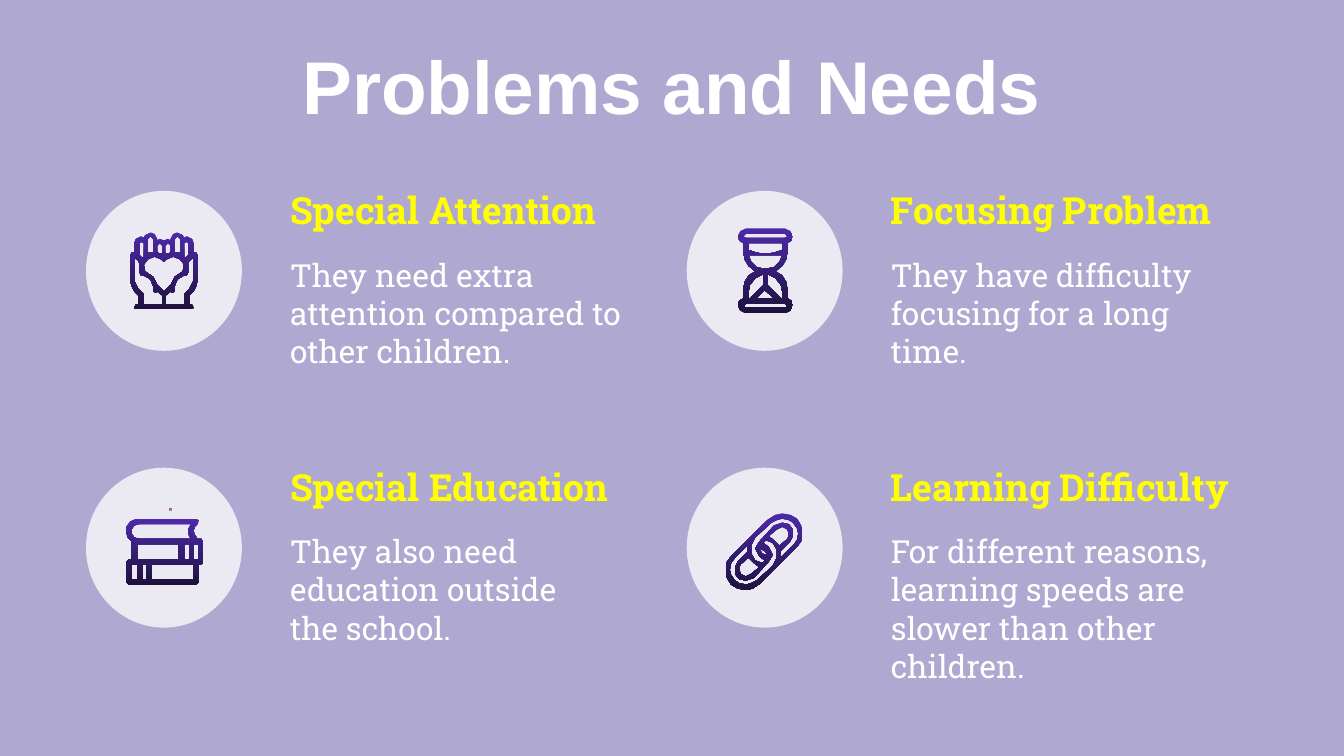
from lxml import etree
from pptx import Presentation
from pptx.dml.color import RGBColor
from pptx.enum.shapes import MSO_SHAPE
from pptx.enum.text import MSO_ANCHOR, PP_ALIGN
from pptx.oxml.ns import qn
from pptx.util import Inches, Pt

OVAL = MSO_SHAPE.OVAL
TOP, BOTTOM = MSO_ANCHOR.TOP, MSO_ANCHOR.BOTTOM
LEFT, CENTER = PP_ALIGN.LEFT, PP_ALIGN.CENTER

COLORS = {
    "back": "AFA8D0",
    "white": "FFFFFF",
    "head": "FFFF00",
    "light": "4E29AA",
    "dark": "1E123D",
    "dot_top": "645CA7",
    "dot_end": "D77EAD",
}
SERIF = "Roboto Slab"

# Left edge, top edge, heading, body, body width
TOPICS = [
    (0.64, 1.42, "Special Attention",
     "They need extra attention compared to other children.", 2.78),
    (5.11, 1.42, "Focusing Problem",
     "They have difficulty focusing for a long time.", 2.46),
    (0.64, 3.48, "Special Education",
     "They also need education outside the school.", 2.46),
    (5.11, 3.48, "Learning Difficulty",
     "For different reasons, learning speeds are slower than other children.", 3.1),
]


def color(name):
    return RGBColor.from_string(COLORS[name])


def flip(points, width):
    """Mirror points left to right."""
    return [(width - x, y) for x, y in points]


def both(points, width):
    """Close a right half with its mirrored left half."""
    return points + flip(points, width)[::-1]


def turn(points, width, height):
    """Rotate points by half a turn."""
    return [(width - x, height - y) for x, y in points]


def rect(x1, y1, x2, y2):
    return [(x1, y1), (x2, y1), (x2, y2), (x1, y2)]


# Each icon is a list of outlines, in hundredths of an inch: the rim, then holes.
def hands():
    wide = 50
    rim = [(25, 6), (28, 5), (30, 6), (30, 5), (32, 1), (35, 0), (39, 2), (40, 4),
           (42, 3), (46, 5), (47, 8), (47, 15), (49, 15), (50, 17), (50, 36),
           (49, 40), (47, 44), (44, 47), (44, 54), (46, 54), (47, 56), (46, 57)]
    heart = [(25, 22), (27, 20), (32, 18), (37, 20), (40, 24), (39, 29),
             (33, 33), (30, 39), (25, 44)]
    holes = [
        [(35, 3), (37, 5), (37, 15), (33, 15), (33, 5)],
        [(28, 8), (30, 10), (30, 15), (26, 16), (26, 10)],
        [(42, 7), (43, 8), (43, 17), (41, 19), (40, 18), (40, 8)],
        [(47, 19), (47, 36), (44, 42), (40, 46), (40, 54), (26, 54), (26, 47),
         (30, 44), (32, 45), (33, 43), (33, 40), (35, 35), (40, 32), (42, 32),
         (43, 30), (43, 24), (44, 21)],
    ]
    return ([both(rim, wide), both(heart, wide)] + holes
            + [flip(hole, wide) for hole in holes])


def glass():
    wide, high = 41, 63
    rim = [(35, 0), (39, 2), (41, 6), (40, 9), (37, 11), (37, 17), (36, 23),
           (33, 28), (28, 31.5)]
    rim += [(x, high - y) for x, y in rim[::-1]]
    bar = both([(35, 4), (37, 5.5), (35, 7)], wide)
    sand = [(33, 11), (33, 16), (27, 18), (20.5, 19)]
    bowl = [(33, 20), (31, 25), (27, 29), (20.5, 30)]
    side = [(22, 34), (28, 37), (32, 42), (33, 47), (33, 52), (32, 52), (22, 42)]
    heap = [(20.5, 46), (27, 52), (14, 52)]
    return [both(rim, wide), bar, turn(bar, wide, high), both(sand, wide),
            both(bowl, wide), side, flip(side, wide), heap]


def books():
    rim = [(11, 0), (53, 0), (55, 1), (54, 4), (52, 6), (51, 9), (52, 12),
           (54, 15), (57, 15), (58, 16), (58, 33), (57, 34), (55, 34), (55, 47),
           (53, 49), (3, 49), (1, 47), (1, 32), (3, 30), (5, 30), (5, 17),
           (2, 14), (1, 10), (1, 6), (4, 2), (8, 0)]
    cover = [(49, 4), (47, 8), (47, 11), (49, 15), (11, 15), (7, 14), (5, 11),
             (5, 8), (7, 5), (11, 4)]
    upper = [rect(a, 19, b, 30) for a, b in ((9, 40), (44, 48), (51, 55))]
    lower = [rect(a, 34, b, 45) for a, b in ((5, 9), (13, 16), (20, 51))]
    return [rim, cover] + upper + lower


def chain():
    size = 57, 57
    rim = [(42, 0), (37, 1), (31, 5), (4, 32), (1, 36), (0, 42), (1, 48),
           (4, 53), (9, 56), (15, 57)]
    ring = [(42, 4), (47, 5), (50, 7), (53, 11), (54, 15), (53, 20), (50, 24),
            (41, 33), (41, 28), (48, 21), (50, 17), (50, 12), (47, 8), (42, 7),
            (36, 9), (25, 21), (22, 26), (25, 32), (29, 35), (27, 37), (22, 35),
            (19, 30), (19, 24), (22, 18), (34, 7), (38, 5)]
    slot = [(42, 10), (46, 12), (47, 16), (46, 19), (40, 24), (36, 20),
            (32, 17), (38, 12)]
    knot = [(25, 26), (29, 28), (31, 31), (27, 30)]
    return [rim + turn(rim, *size), ring, turn(ring, *size),
            slot, turn(slot, *size), knot]


def shade(shape, start, end):
    """Fill from top to bottom with two colours, without a line."""
    shape.shadow.inherit = False
    shape.line.fill.background()
    shape.fill.gradient()
    shape.fill.gradient_angle = 270
    for stop, name in zip(shape.fill.gradient_stops, (start, end)):
        stop.color.rgb = color(name)


def add_icon(slide, x, y, outlines):
    first, *rest = outlines
    pen = slide.shapes.build_freeform(*first[0], scale=Inches(1) / 100)
    pen.add_line_segments(first[1:], close=True)
    for line in rest:
        pen.move_to(*line[0])
        pen.add_line_segments(line[1:], close=True)
    shade(pen.convert_to_shape(Inches(x), Inches(y)), "light", "dark")


def add_disc(slide, x, y):
    disc = slide.shapes.add_shape(OVAL, Inches(x), Inches(y), Inches(1.16), Inches(1.19))
    disc.shadow.inherit = False
    disc.line.fill.background()
    disc.fill.solid()
    disc.fill.fore_color.rgb = color("white")
    tint = disc.fill._xPr.find(".//" + qn("a:srgbClr"))
    etree.SubElement(tint, qn("a:alpha"), val="76000")


def add_text(slide, text, x, y, w, h, size, name="white", font=SERIF,
             bold=False, align=LEFT, anchor=TOP):
    box = slide.shapes.add_textbox(Inches(x), Inches(y), Inches(w), Inches(h))
    frame = box.text_frame
    frame.word_wrap = True
    frame.vertical_anchor = anchor
    frame.margin_left = frame.margin_right = Inches(0.1)
    frame.margin_top = frame.margin_bottom = Inches(0.1)
    frame.text = text
    para = frame.paragraphs[0]
    para.alignment = align
    style = para.runs[0].font
    style.name, style.size, style.bold = font, Pt(size), bold
    style.color.rgb = color(name)


def main():
    deck = Presentation()
    deck.slide_width = Inches(10)
    deck.slide_height = deck.slide_width * 9 // 16
    slide = deck.slides.add_slide(deck.slide_layouts[6])
    slide.background.fill.solid()
    slide.background.fill.fore_color.rgb = color("back")

    add_text(slide, "Problems and Needs", 0.98, 0.43, 8.03, 0.63, 40,
             font="Arial", bold=True, align=CENTER, anchor=BOTTOM)
    for x, y, head, body, width in TOPICS:
        add_disc(slide, x, y)
        add_text(slide, body, x + 1.42, y + 0.38, width, 1.1, 17)
        add_text(slide, head, x + 1.42, y - 0.13, 2.78, 0.65, 20, "head", bold=True)

    dot = slide.shapes.add_shape(OVAL, Inches(1.26), Inches(3.78), Inches(0.02), Inches(0.02))
    shade(dot, "dot_top", "dot_end")
    add_icon(slide, 0.97, 1.73, hands())
    add_icon(slide, 5.49, 1.7, glass())
    add_icon(slide, 0.93, 3.86, books())
    add_icon(slide, 5.4, 3.82, chain())
    deck.save("out.pptx")


if __name__ == "__main__":
    main()
